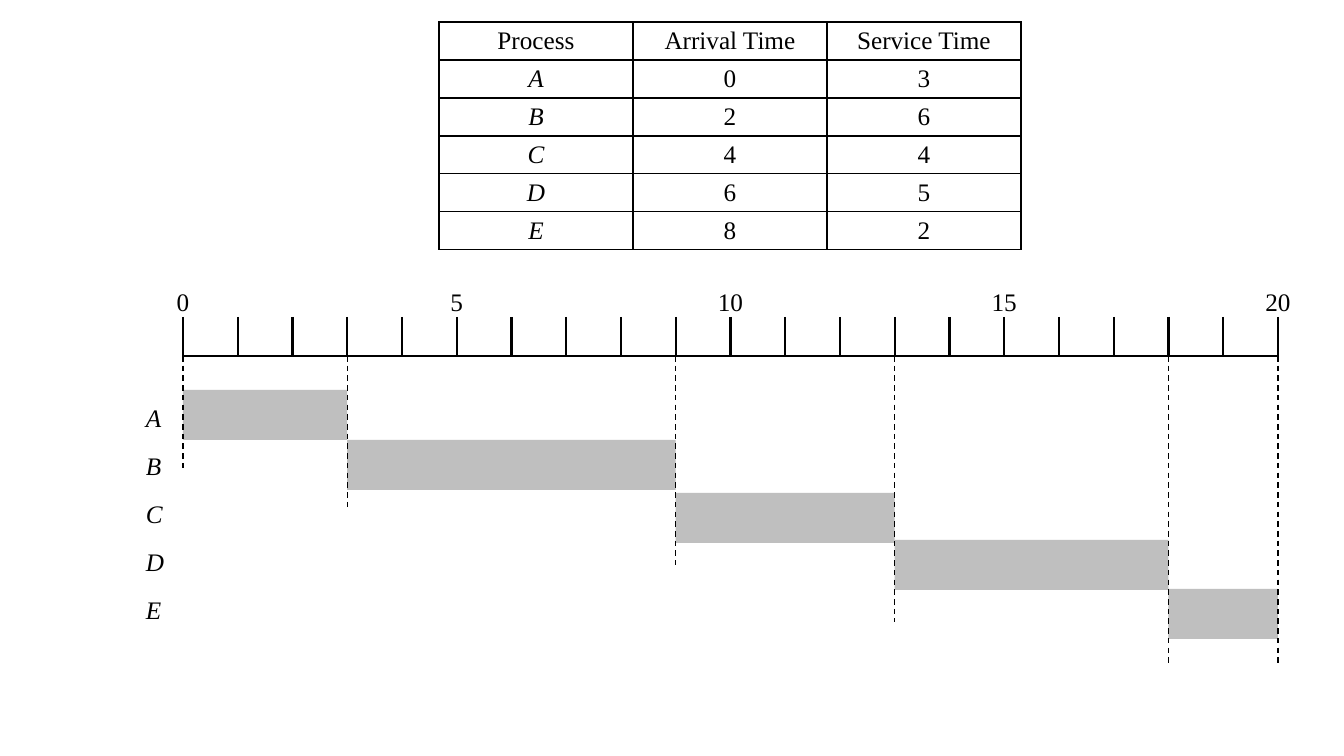
"""Builds a slide with a process table and its first-come, first-served timeline."""
from lxml.etree import SubElement
from pptx import Presentation
from pptx.dml.color import RGBColor
from pptx.enum.dml import MSO_LINE_DASH_STYLE as DASH
from pptx.enum.shapes import MSO_CONNECTOR as CONN, MSO_SHAPE as SHAPE
from pptx.enum.text import MSO_ANCHOR as ANCHOR, PP_ALIGN as ALIGN
from pptx.oxml.ns import qn
from pptx.util import Pt

HEADERS = ["Process", "Arrival Time", "Service Time"]
PROCESSES = [("A", 0, 3), ("B", 2, 6), ("C", 4, 4), ("D", 6, 5), ("E", 8, 2)]
BAR_TOPS = [390, 440, 493, 540, 589]
GUIDE_ENDS = [471, 510, 565, 622, 667, 667]
COLORS = {"ink": "000000", "bar": "BFBFBF"}
FONT = {"name": "Times New Roman", "size": Pt(18)}

SCALE = 914400 / 100.8
TABLE_X, TABLE_Y, COL_W, ROW_H = 439, 22, 194, 38
AXIS_LEFT, AXIS_RIGHT, AXIS_Y, TICK_TOP = 183, 1278, 356, 317
TOTAL, LABEL_STEP = 20, 5
BAR_H = 50
NUMBER_Y, NUMBER_W = 281, 60
NAME_X, NAME_Y, NAME_W, NAME_STEP, TEXT_H = 136, 397, 58, 48, 41


def px(n):
    return round(n * SCALE)


def box(*lengths):
    return [px(n) for n in lengths]


def time_x(t):
    return AXIS_LEFT + t * (AXIS_RIGHT - AXIS_LEFT) / TOTAL


def color(key):
    return RGBColor.from_string(COLORS[key])


def write(tf, text, align, italic=False):
    p = tf.paragraphs[0]
    p.alignment = align
    r = p.add_run()
    r.text = str(text)
    for attr, value in {**FONT, "italic": italic}.items():
        setattr(r.font, attr, value)
    r.font.color.rgb = color("ink")


def add_text(s, text, bounds, align, italic=False):
    tf = s.shapes.add_textbox(*box(*bounds)).text_frame
    tf.word_wrap = True
    write(tf, text, align, italic)


def add_line(s, x1, y1, x2, y2, width=1.5, dash=None):
    line = s.shapes.add_connector(CONN.STRAIGHT, *box(x1, y1, x2, y2))
    line.line.color.rgb = color("ink")
    line.line.width = Pt(width)
    line.line.dash_style = dash
    SubElement(line._element.spPr, qn("a:effectLst"))


def add_borders(cell):
    props = cell._tc.get_or_add_tcPr()
    for index, side in enumerate(("lnL", "lnR", "lnT", "lnB")):
        ln = props.makeelement(qn(f"a:{side}"), {"w": str(Pt(1))})
        fill = SubElement(ln, qn("a:solidFill"))
        SubElement(fill, qn("a:srgbClr"), val=COLORS["ink"])
        props.insert(index, ln)


def add_process_table(s):
    rows = [HEADERS, *PROCESSES]
    bounds = box(TABLE_X, TABLE_Y, COL_W * len(HEADERS), ROW_H * len(rows))
    table = s.shapes.add_table(len(rows), len(HEADERS), *bounds).table
    table.first_row = table.horz_banding = False
    for col in table.columns:
        col.width = px(COL_W)
    for i, row in enumerate(rows):
        table.rows[i].height = px(ROW_H)
        for j, text in enumerate(row):
            cell = table.cell(i, j)
            cell.fill.background()
            cell.vertical_anchor = ANCHOR.MIDDLE
            cell.margin_top = cell.margin_bottom = px(4)
            write(cell.text_frame, text, ALIGN.CENTER, i > 0 and j == 0)
            add_borders(cell)


def add_axis(s):
    add_line(s, AXIS_LEFT, AXIS_Y, AXIS_RIGHT, AXIS_Y)
    for t in range(TOTAL + 1):
        x = time_x(t)
        add_line(s, x, TICK_TOP, x, AXIS_Y)
        if t % LABEL_STEP == 0:
            add_text(s, t, (x - NUMBER_W / 2, NUMBER_Y, NUMBER_W, TEXT_H), ALIGN.CENTER)


def add_schedule(s):
    times = [0]
    for i, (name, _, service) in enumerate(PROCESSES):
        start, end = times[-1], times[-1] + service
        x = time_x(start)
        sp = s.shapes.add_shape(SHAPE.RECTANGLE, *box(x, BAR_TOPS[i], time_x(end) - x, BAR_H))
        sp.shadow.inherit = False
        sp.fill.solid()
        sp.fill.fore_color.rgb = color("bar")
        sp.line.fill.background()
        add_text(s, name, (NAME_X, NAME_Y + i * NAME_STEP, NAME_W, TEXT_H), ALIGN.LEFT, True)
        times.append(end)
    for t, bottom in zip(times, GUIDE_ENDS):
        add_line(s, time_x(t), AXIS_Y, time_x(t), bottom, 1, DASH.DASH)


def main():
    prs = Presentation()
    prs.slide_width, prs.slide_height = box(1344, 756)
    s = prs.slides.add_slide(prs.slide_layouts[6])
    add_process_table(s)
    add_axis(s)
    add_schedule(s)
    prs.save("out.pptx")


if __name__ == "__main__":
    main()
